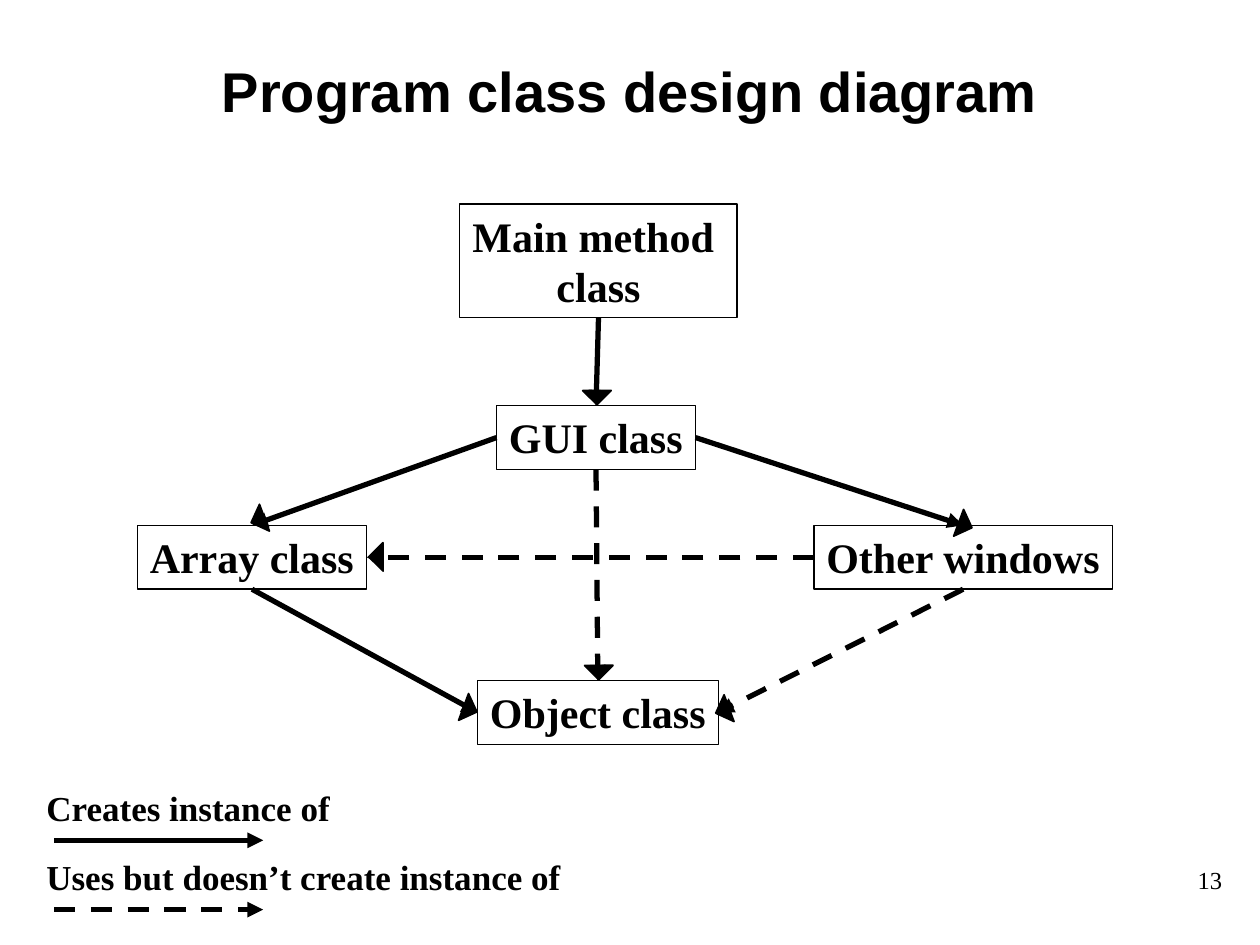
from lxml import etree
from pptx import Presentation
from pptx.dml.color import RGBColor
from pptx.enum.dml import MSO_LINE
from pptx.enum.shapes import MSO_CONNECTOR, MSO_SHAPE
from pptx.enum.text import MSO_ANCHOR, MSO_AUTO_SIZE, PP_ALIGN
from pptx.oxml.ns import qn
from pptx.util import Pt

DASH = MSO_LINE.DASH
STRAIGHT = MSO_CONNECTOR.STRAIGHT
RECT, RIGHT_TRIANGLE = MSO_SHAPE.RECTANGLE, MSO_SHAPE.RIGHT_TRIANGLE
TOP_ANCHOR, MIDDLE = MSO_ANCHOR.TOP, MSO_ANCHOR.MIDDLE
FIT, NO_FIT = MSO_AUTO_SIZE.SHAPE_TO_FIT_TEXT, MSO_AUTO_SIZE.NONE
LEFT_ALIGN, CENTER, RIGHT_ALIGN = PP_ALIGN.LEFT, PP_ALIGN.CENTER, PP_ALIGN.RIGHT
TOP, LEFT, BOTTOM, RIGHT = range(4)

INK = "000000"
HEAD_SIZE = 11.5
TITLE = {"name": "Arial", "size": Pt(32), "bold": True}
CLASS_NAME = {"name": "Times New Roman", "size": Pt(24), "bold": True}
LEGEND = {"name": "Times New Roman", "size": Pt(20), "bold": True}
NUMBER = {"name": "Times New Roman", "size": Pt(14), "bold": False}

CLASSES = {
    "main": (184.3, 0, 158.4, 65, CENTER, ["Main method ", "class"]),
    "gui": (205.2, 115.2, 113.8, 36.5, LEFT_ALIGN, ["GUI class"]),
    "array": (0, 183.6, 131, 36.5, LEFT_ALIGN, ["Array class"]),
    "object": (194.4, 272.3, 137.5, 36.5, LEFT_ALIGN, ["Object class"]),
    "windows": (386.6, 183.6, 170.6, 36.5, LEFT_ALIGN, ["Other windows"]),
}
ARROWS = [
    ("gui", RIGHT, "windows", TOP, False, (-8.3, -7.2, 335.4, True)),
    ("main", BOTTOM, "gui", TOP, False, (-5.2, -14.4, 44.8, True)),
    ("gui", LEFT, "array", TOP, False, (1.4, -10.1, 24.6, False)),
    ("array", BOTTOM, "object", LEFT, False, (-13.7, -8.9, 335.4, True)),
    ("windows", LEFT, "array", RIGHT, True, (3.6, -6, 134.8, True)),
    ("gui", BOTTOM, "object", TOP, True, (-5.2, -14.4, 44.8, True)),
    ("windows", BOTTOM, "object", RIGHT, True, (0.5, -8.2, 24.6, False)),
]
LEGEND_ROWS = [
    ("Creates instance of", 176.4, False),
    ("Uses but doesn’t create instance of", 308.9, True),
]


def rgb(value):
    return RGBColor.from_string(value)


def write(sp, lines, font, align, anchor=TOP_ANCHOR, wrap=True, fit=NO_FIT):
    tf = sp.text_frame
    frame = {"word_wrap": wrap, "auto_size": fit, "vertical_anchor": anchor}
    for key, value in frame.items():
        setattr(tf, key, value)
    for i, line in enumerate(lines):
        p = tf.paragraphs[0] if i == 0 else tf.add_paragraph()
        p.alignment = align
        r = p.add_run()
        r.text = line
        for key, value in font.items():
            setattr(r.font, key, value)
        r.font.color.rgb = rgb(INK)


def add_text(s, box, text, font, align, **frame):
    sp = s.shapes.add_textbox(*map(Pt, box))
    write(sp, [text], font, align, **frame)


def add_arrow(s, x1, y1, x2, y2, dashed):
    c = s.shapes.add_connector(STRAIGHT, Pt(x1), Pt(y1), Pt(x2), Pt(y2))
    c.line.color.rgb = rgb(INK)
    c.line.width = Pt(3)
    if dashed:
        c.line.dash_style = DASH
    etree.SubElement(c.line._get_or_add_ln(), qn("a:tailEnd"), type="triangle")
    etree.SubElement(c._element.spPr, qn("a:effectLst"))
    return c


def add_head(s, x, y, rotation, flipped):
    sp = s.shapes.add_shape(RIGHT_TRIANGLE, Pt(x), Pt(y), Pt(HEAD_SIZE), Pt(HEAD_SIZE))
    sp.shadow.inherit = False
    sp.fill.solid()
    sp.fill.fore_color.rgb = rgb(INK)
    sp.line.color.rgb = rgb(INK)
    sp.line.width = Pt(1)
    sp.rotation = rotation
    if flipped:
        sp._element.spPr.find(qn("a:xfrm")).set("flipH", "1")


def add_class(s, x, y, w, h, align, lines):
    sp = s.shapes.add_shape(RECT, Pt(x), Pt(y), Pt(w), Pt(h))
    sp.shadow.inherit = False
    sp.fill.background()
    sp.line.color.rgb = rgb(INK)
    sp.line.width = Pt(0.75)
    write(sp, lines, CLASS_NAME, align, wrap=False, fit=FIT)
    return sp


def add_diagram(s, left, top):
    boxes = {
        name: add_class(s, left + x, top + y, *rest)
        for name, (x, y, *rest) in CLASSES.items()
    }
    tips = []
    for start, start_site, end, end_site, dashed, head in ARROWS:
        c = add_arrow(s, 0, 0, 0, 0, dashed)
        c.begin_connect(boxes[start], start_site)
        c.end_connect(boxes[end], end_site)
        tips.append((c.end_x / Pt(1), c.end_y / Pt(1), head))
    for x, y, (dx, dy, rotation, flipped) in tips:
        add_head(s, x + dx, y + dy, rotation, flipped)


def add_legend(s, left, top, pitch):
    for i, (text, width, dashed) in enumerate(LEGEND_ROWS):
        y = top + i * pitch
        add_text(s, (left, y, width, 31.5), text, LEGEND, LEFT_ALIGN, wrap=False, fit=FIT)
        add_arrow(s, left + 11.5, y + 34.5, left + 131, y + 34.5, dashed)


def main():
    prs = Presentation()
    prs.slide_width, prs.slide_height = Pt(720), Pt(540)
    s = prs.slides.add_slide(prs.slide_layouts[6])
    add_text(s, (604, 491, 101.5, 36), "13", NUMBER, RIGHT_ALIGN)
    add_text(s, (54, 20.2, 612, 62.6), "Program class design diagram", TITLE, CENTER, anchor=MIDDLE)
    add_diagram(s, 78.5, 116.6)
    add_legend(s, 19.4, 445.7, 39.6)
    prs.save("out.pptx")


if __name__ == "__main__":
    main()
